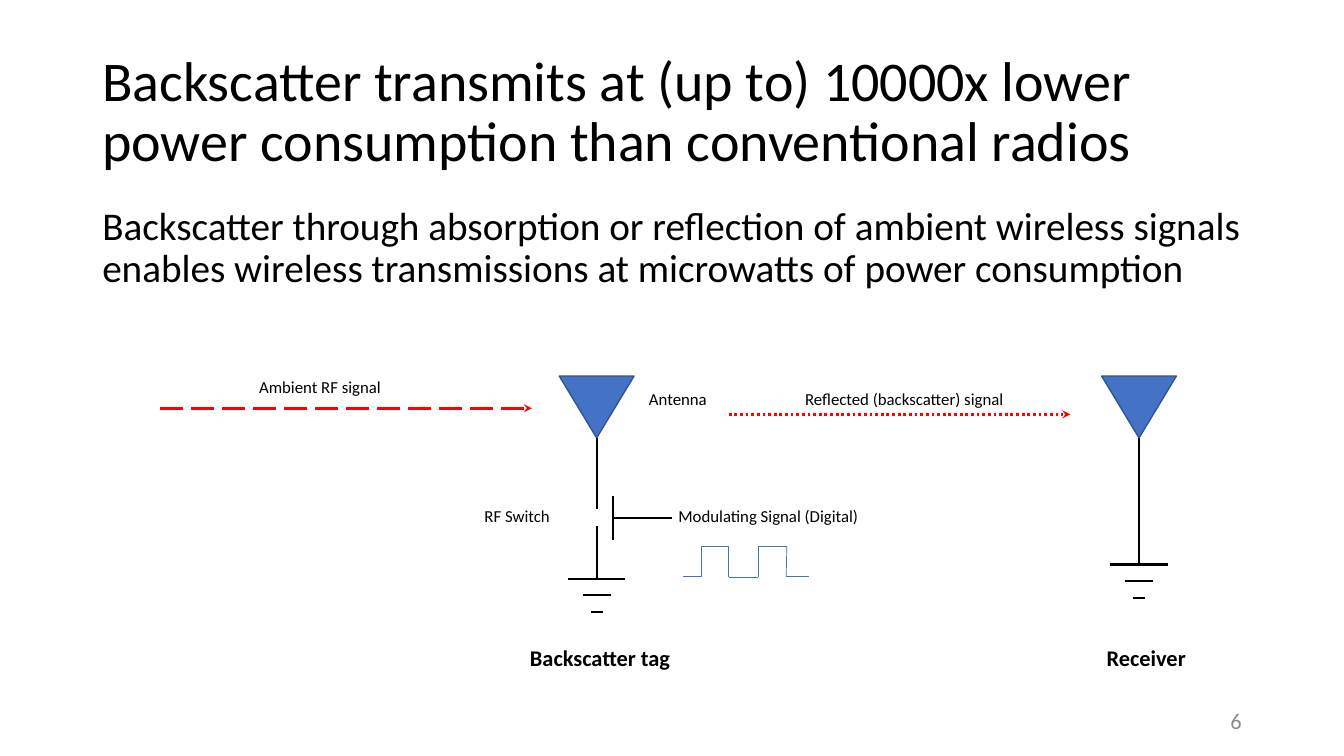
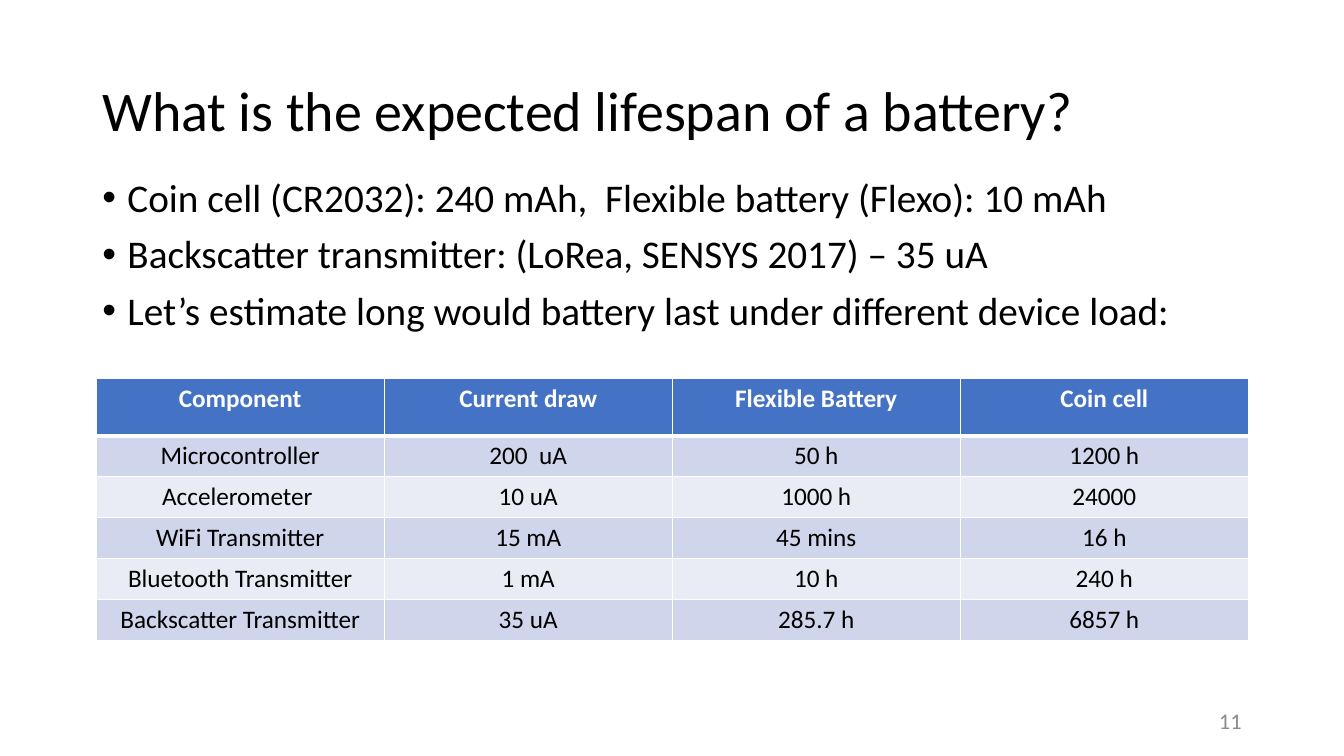
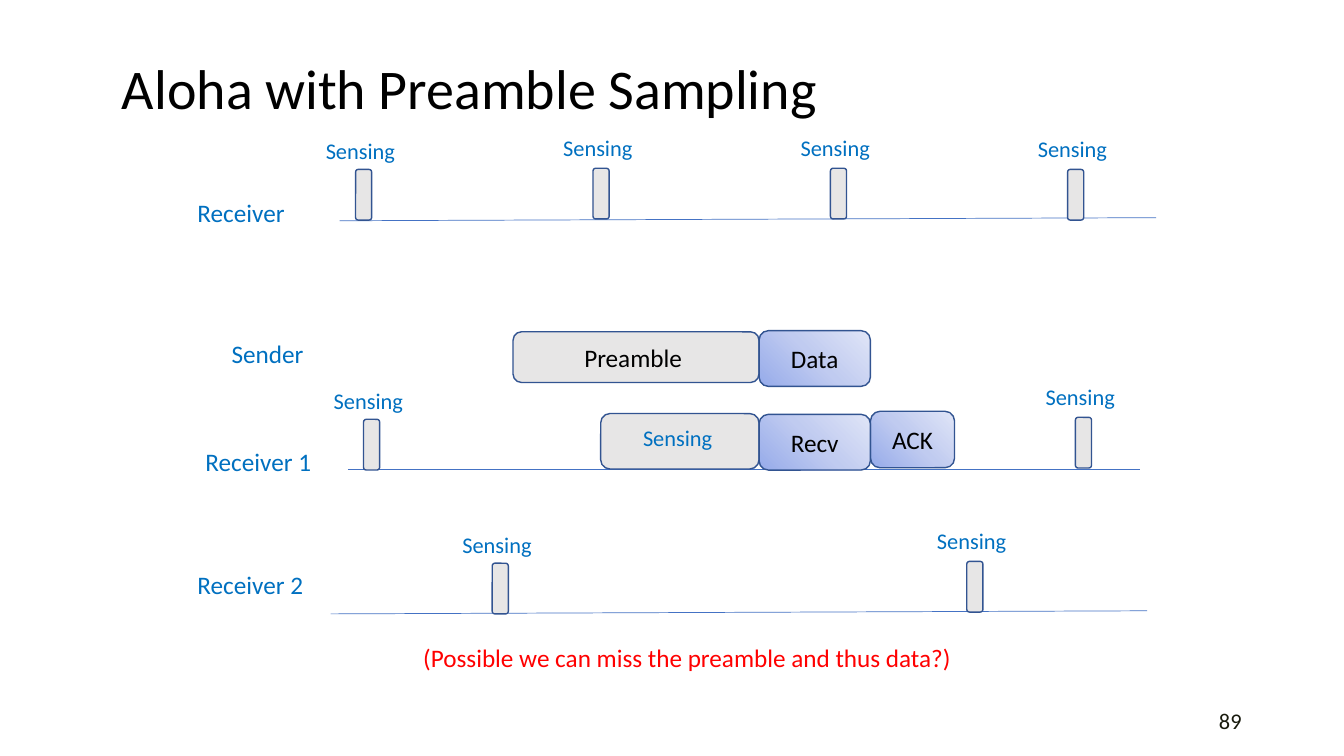
from itertools import pairwise

from lxml import etree
from pptx import Presentation
from pptx.dml.color import RGBColor
from pptx.enum import dml, shapes, text
from pptx.oxml import parse_xml
from pptx.oxml.ns import nsdecls, qn
from pptx.util import Pt

# Shared style
FONT = "Calibri"
BLACK, WHITE, RED = "000000", "FFFFFF", "FF0000"
BLUE, EDGE, SKY, GREY = "4472C4", "325491", "0070C0", "E7E6E6"
rgb = RGBColor.from_string
ROUNDED = shapes.MSO_SHAPE.ROUNDED_RECTANGLE
TRIANGLE = shapes.MSO_SHAPE.ISOSCELES_TRIANGLE
TOP, MIDDLE = text.MSO_ANCHOR.TOP, text.MSO_ANCHOR.MIDDLE
LEFT, CENTER, RIGHT = text.PP_ALIGN.LEFT, text.PP_ALIGN.CENTER, text.PP_ALIGN.RIGHT


def draw_box(page, left, top, width, height, content="", size=18, color=BLACK, kind=None,
             fill=None, bold=False, anchor=TOP, align=LEFT, spacing=None, wrap=True):
    """Draw a text box, or a filled and outlined shape when a kind is given."""
    place = Pt(left), Pt(top), Pt(width), Pt(height)
    if kind is None:
        box = page.shapes.add_textbox(*place)
    else:
        box = page.shapes.add_shape(kind, *place)
        box.shadow.inherit = False
        box.fill.solid()
        box.fill.fore_color.rgb = rgb(fill)
        box.line.color.rgb = rgb(EDGE)
        box.line.width = Pt(1)
        anchor, align = MIDDLE, CENTER
    frame = box.text_frame
    frame.word_wrap = wrap
    frame.vertical_anchor = anchor
    frame.text = content
    for para in frame.paragraphs:
        para.alignment = align
        if spacing:
            para.line_spacing = spacing
        for span in para.runs:
            span.font.name, span.font.size, span.font.bold = FONT, Pt(size), bold
            span.font.color.rgb = rgb(color)
    return box


def draw_line(page, start, end, color=BLACK, width=1.5, dash=None):
    """Draw a straight line; a dashed one ends in an arrowhead."""
    line = page.shapes.add_connector(shapes.MSO_CONNECTOR.STRAIGHT,
                                     Pt(start[0]), Pt(start[1]), Pt(end[0]), Pt(end[1]))
    line.line.color.rgb = rgb(color)
    line.line.width = Pt(width)
    if dash:
        line.line.dash_style = dash
        etree.SubElement(line.line._get_or_add_ln(), qn("a:tailEnd"), type="stealth")
    etree.SubElement(line._element.spPr, qn("a:effectLst"))


deck = Presentation()
deck.slide_width, deck.slide_height = Pt(960), Pt(540)

# Pages with title and number
pages = []
for title, place, number, number_color in (
    ("Backscatter transmits at (up to) 10000x lower power consumption than conventional radios",
     (66, 29, 828, 104), "6", "8C8C8C"),
    ("What is the expected lifespan of a battery?", (66, 29, 828, 104), "11", "8C8C8C"),
    ("Aloha with Preamble Sampling", (80, 7, 602, 117), "89", "191B0E"),
):
    page = deck.slides.add_slide(deck.slide_layouts[6])
    draw_box(page, *place, title, 40, anchor=MIDDLE, spacing=0.9)
    draw_box(page, 678, 500.5, 216, 29, number, 16, number_color, anchor=MIDDLE, align=RIGHT)
    pages.append(page)
radio_page, battery_page, aloha_page = pages

# Radio page: body
draw_box(radio_page, 66, 144, 828, 343,
         "Backscatter through absorption or reflection of ambient wireless signals "
         "enables wireless transmissions at microwatts of power consumption", 28, spacing=0.9)

# Radio page: antennas with ground symbols
for axis, ground in ((426.2, 413.3), (813.6, 403.2)):
    antenna = draw_box(radio_page, axis - 26.7, 268.6, 53.4, 44.2, kind=TRIANGLE, fill=BLUE)
    antenna.rotation = 180
    for step, half in enumerate((20.5, 10, 4.3)):
        level = ground + 12 * step
        draw_line(radio_page, (axis - half, level), (axis + half, level))

# Radio page: masts and switch
for start, end in (
    ((426.2, 313), (426.2, 363.6)),
    ((426.2, 376), (426.2, 413.3)),
    ((437.8, 354), (437.8, 386)),
    ((480, 370), (437.8, 370)),
    ((813.6, 313), (813.6, 403.2)),
):
    draw_line(radio_page, start, end)

# Radio page: signals
draw_line(radio_page, (114.5, 291.6), (380, 291.6), RED, 2, dml.MSO_LINE.LONG_DASH)
draw_line(radio_page, (520.5, 296), (764.6, 296), RED, 2, dml.MSO_LINE.ROUND_DOT)
wave = ((488, 412), (501, 412), (501, 390), (520.5, 390), (520.5, 412.5),
        (541.5, 412.5), (541.5, 390), (562, 390), (561.6, 412), (578, 412))
for start, end in pairwise(wave):
    draw_line(radio_page, start, end, BLUE, 0.5)

# Radio page: labels
for label, left, top, width in (
    ("RF Switch", 339, 358, 64),
    ("Modulating Signal (Digital)", 477.5, 358, 152),
    ("Antenna", 456.5, 274.3, 64),
    ("Ambient RF signal", 178, 265.7, 170),
    ("Reflected (backscatter) signal", 568, 274.3, 170),
):
    draw_box(radio_page, left, top, width, 21.6, label, 12)
for label, left, width in (("Backscatter tag", 371.5, 127), ("Receiver", 783.4, 91)):
    draw_box(radio_page, left, 456.5, width, 26.6, label, 16, bold=True)

# Battery page: bullets
facts = draw_box(battery_page, 66, 124, 894, 368,
                 "Coin cell (CR2032): 240 mAh,  Flexible battery (Flexo): 10 mAh\n"
                 "Backscatter transmitter: (LoRea, SENSYS 2017) – 35 uA\n"
                 "Let’s estimate long would battery last under different device load:",
                 28, spacing=0.9)
for index, para in enumerate(facts.text_frame.paragraphs):
    if index:
        para.space_before = Pt(10)
    props = para._p.get_or_add_pPr()
    props.set("marL", str(Pt(18)))
    props.set("indent", str(-Pt(18)))
    etree.SubElement(props, qn("a:buFont"), typeface="Arial")
    etree.SubElement(props, qn("a:buChar"), char="•")

# Battery page: table
rows = (
    ("Component", "Current draw", "Flexible Battery", "Coin cell"),
    ("Microcontroller", "200  uA", "50 h", "1200 h"),
    ("Accelerometer ", "10 uA", "1000 h", "24000"),
    ("WiFi Transmitter", "15 mA", "45 mins", "16 h"),
    ("Bluetooth Transmitter", "1 mA", "10 h", "240 h"),
    ("Backscatter Transmitter", "35 uA", "285.7 h", "6857 h"),
)
table = battery_page.shapes.add_table(len(rows), 4, Pt(68.7), Pt(270), Pt(823), Pt(187)).table
for column in table.columns:
    column.width = Pt(205.75)
for r, row in enumerate(rows):
    table.rows[r].height = Pt(29.2 if r else 41.4)
    for c, value in enumerate(row):
        cell = table.cell(r, c)
        props = cell._tc.get_or_add_tcPr()
        for side in "LRTB":
            thick = (r, side) in ((0, "B"), (1, "T"))
            props.append(parse_xml(
                f'<a:ln{side} {nsdecls("a")} w="{Pt(3 if thick else 1)}"><a:solidFill>'
                f'<a:srgbClr val="{WHITE}"/></a:solidFill></a:ln{side}>'))
        cell.fill.solid()
        cell.fill.fore_color.rgb = rgb(BLUE if r == 0 else "CFD5EA" if r % 2 else "E9EBF5")
        cell.text = value
        para = cell.text_frame.paragraphs[0]
        para.alignment = CENTER
        font = para.runs[0].font
        font.name, font.size, font.bold = FONT, Pt(18), r == 0
        font.color.rgb = rgb(BLACK if r else WHITE)

# Aloha page: timelines
for start, end in (
    ((242.6, 157.7), (825.8, 155.5)),
    ((248.4, 335.5), (814.3, 335.5)),
    ((236.2, 438.5), (819.4, 436.3)),
):
    draw_line(aloha_page, start, end, BLUE, 0.5)

# Aloha page: row names and remark
for label, left, top, width, color in (
    ("Sender", 158.4, 238.3, 66, SKY),
    ("Receiver", 134, 137.5, 78, SKY),
    ("Receiver 1", 139.7, 315.4, 91, SKY),
    ("Receiver 2", 134, 403.2, 91, SKY),
    ("(Possible we can miss the preamble and thus data?)", 295.2, 455, 396, RED),
):
    draw_box(aloha_page, left, top, width, 29, label, 18, color, wrap=False)

# Aloha page: packets
gradient = (f'<a:gradFill {nsdecls("a")}><a:gsLst>'
            '<a:gs pos="0"><a:srgbClr val="96ABEA"/></a:gs>'
            '<a:gs pos="50000"><a:srgbClr val="C0CBF0"/></a:gs>'
            '<a:gs pos="100000"><a:srgbClr val="E0E5F7"/></a:gs></a:gsLst>'
            '<a:path path="circle"><a:fillToRect t="100000" r="100000"/></a:path></a:gradFill>')
for label, left, top, width, height, shaded in (
    ("Preamble ", 366.5, 237, 175.7, 36.2, False),
    ("Data", 542.2, 236.2, 79.5, 39.8, True),
    ("", 429.1, 295.4, 113.1, 39.6, False),
    ("ACK", 621.8, 293.8, 60, 40.3, True),
    ("Recv", 542.2, 296, 79.5, 39.8, True),
):
    packet = draw_box(aloha_page, left, top, width, height, label, kind=ROUNDED, fill=GREY)
    if shaded:
        props = packet._element.spPr
        props.replace(props.find(qn("a:solidFill")), parse_xml(gradient))

# Aloha page: sensing slots
slots = ((254, 121, 94.3), (423.6, 120.2, 92.2), (593.2, 120.2, 92.2), (762.6, 121, 92.9),
         (259.7, 299.5, 272.9), (768.2, 298.1, 270),
         (351.6, 402.3, 375.8), (690.6, 401, 373))
for left, top, label_top in slots:
    draw_box(aloha_page, left, top, 11.5, 36.2, kind=ROUNDED, fill=GREY)
for left, top in [(slot[0] - 28.4, slot[2]) for slot in slots] + [(452.2, 299.5)]:
    draw_box(aloha_page, left, top, 65, 26.6, "Sensing", 16, SKY, wrap=False)

deck.save("out.pptx")
